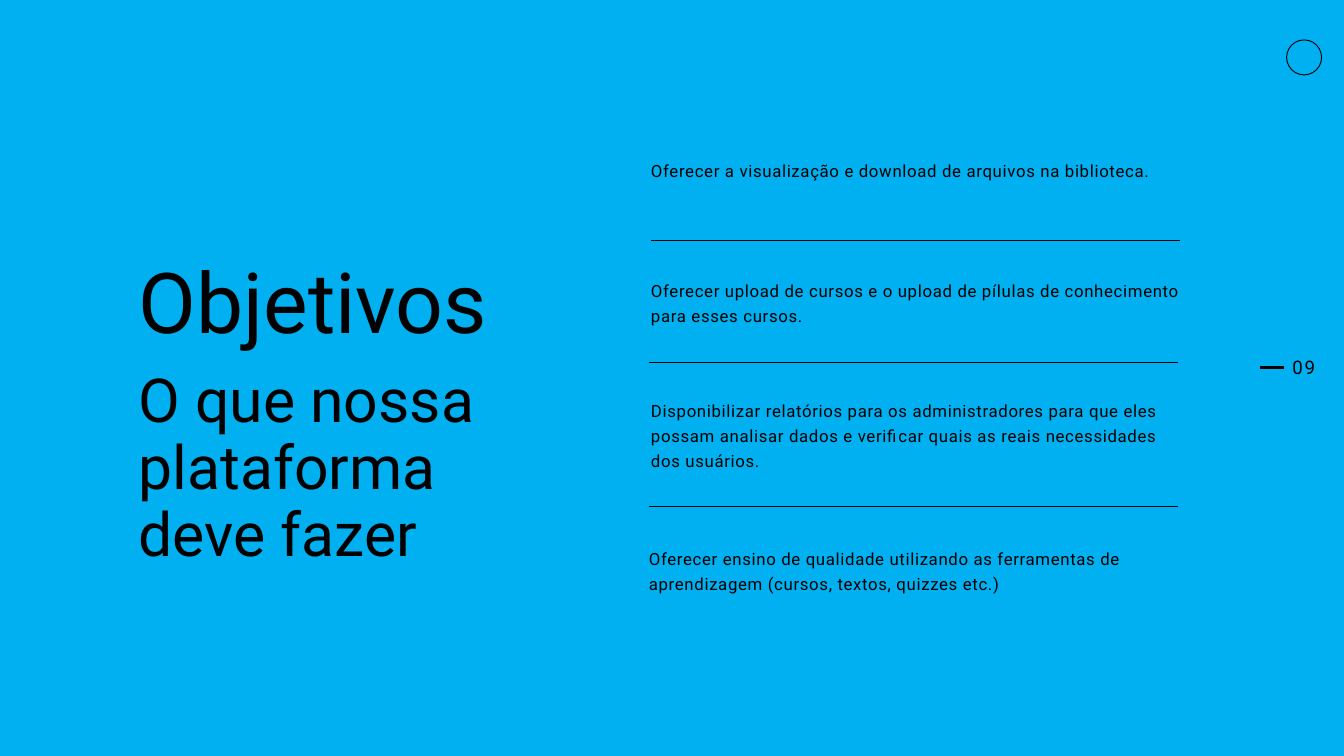
from lxml.etree import SubElement
from pptx import Presentation
from pptx.dml.color import RGBColor
from pptx.enum.shapes import MSO_CONNECTOR as CONN, MSO_SHAPE as SHAPE
from pptx.enum.text import MSO_ANCHOR as ANCHOR, MSO_AUTO_SIZE as AUTO, PP_ALIGN as ALIGN
from pptx.oxml.ns import qn
from pptx.util import Pt

PX = 9525
BLACK = "000000"
GOAL_X, GOAL_W = 930, 756
GOALS = [
    (GOAL_X, 222, 69, "Oferecer a visualização e download de arquivos na biblioteca."),
    (GOAL_X, 394, 69, "Oferecer upload de cursos e o upload de pílulas de conhecimento para esses cursos."),
    (GOAL_X, 565, 106, "Disponibilizar relatórios para os administradores para que eles possam analisar "
                       "dados e verificar quais as reais necessidades dos usuários."),
    (927, 777, 69, "Oferecer ensino de qualidade utilizando as ferramentas de aprendizagem "
                   "(cursos, textos, quizzes etc.)"),
]
DIVIDERS = [(GOAL_X, 344), (927, 517), (927, 724)]


def color(hex_code):
    """Turn a hex string into a colour."""
    return RGBColor.from_string(hex_code)


def box(*lengths):
    """Turn px lengths into EMU."""
    return [n * PX for n in lengths]


def write(sp, text, size, leading, spacing=0, align=ALIGN.LEFT):
    """Fill a text shape with one plain, unbulleted paragraph."""
    tf = sp.text_frame
    tf.word_wrap = True
    tf.auto_size = AUTO.NONE
    tf.vertical_anchor = ANCHOR.TOP
    tf.margin_left = tf.margin_top = tf.margin_right = tf.margin_bottom = 0
    p = tf.paragraphs[0]
    p.alignment = align
    p.line_spacing = Pt(leading)
    p.space_before = p.space_after = Pt(0)
    pPr = p._p.get_or_add_pPr()
    pPr.set("marL", "0")
    pPr.set("indent", "0")
    SubElement(pPr, qn("a:buNone"))
    r = p.add_run()
    r.text = text
    r.font.name = "Roboto"
    r.font.size = Pt(size)
    r.font.bold = False
    r.font.color.rgb = color(BLACK)
    r._r.get_or_add_rPr().set("spc", str(round(spacing * 100)))


def fill_placeholder(ph, x, y, w, h, *text_args):
    """Move a placeholder and write its text."""
    ph.left, ph.top, ph.width, ph.height = box(x, y, w, h)
    write(ph, *text_args)


def add_text(s, x, y, w, h, *text_args):
    """Add a text box with one paragraph."""
    write(s.shapes.add_textbox(*box(x, y, w, h)), *text_args)


def add_line(s, x, y, length, weight):
    """Draw a horizontal line."""
    line = s.shapes.add_connector(CONN.STRAIGHT, *box(x, y, x + length, y))
    line.line.color.rgb = color(BLACK)
    line.line.width = Pt(weight)
    SubElement(line._element.spPr, qn("a:effectLst"))


def add_ring(s, x, y, size):
    """Draw an outlined circle."""
    sp = s.shapes.add_shape(SHAPE.OVAL, *box(x, y, size, size))
    sp.shadow.inherit = False
    sp.fill.background()
    sp.line.color.rgb = color(BLACK)
    sp.line.width = Pt(1)


def main():
    """Build and save the slide."""
    prs = Presentation()
    prs.slide_width, prs.slide_height = box(1920, 1080)
    s = prs.slides.add_slide(prs.slide_layouts.get_by_name("Comparison"))
    s.background.fill.solid()
    s.background.fill.fore_color.rgb = color("00B0F0")

    title, *bodies = s.placeholders
    fill_placeholder(title, 198, 369, 659, 137, "Objetivos", 90, 99)
    add_text(s, 198, 526, 584, 291, "O que nossa plataforma deve fazer", 65, 71.5)

    for ph, (x, y, h, goal) in zip(bodies, GOALS):
        fill_placeholder(ph, x, y, GOAL_W, h, goal, 18, 27, 0.7)
    for x, y in DIVIDERS:
        add_line(s, x, y, GOAL_W, 0.75)

    add_ring(s, 1838, 57, 50)
    add_line(s, 1800, 525, 34, 3)
    add_text(s, 1831, 508, 48, 33, "09", 20, 24, 2, ALIGN.RIGHT)
    prs.save("out.pptx")


if __name__ == "__main__":
    main()
